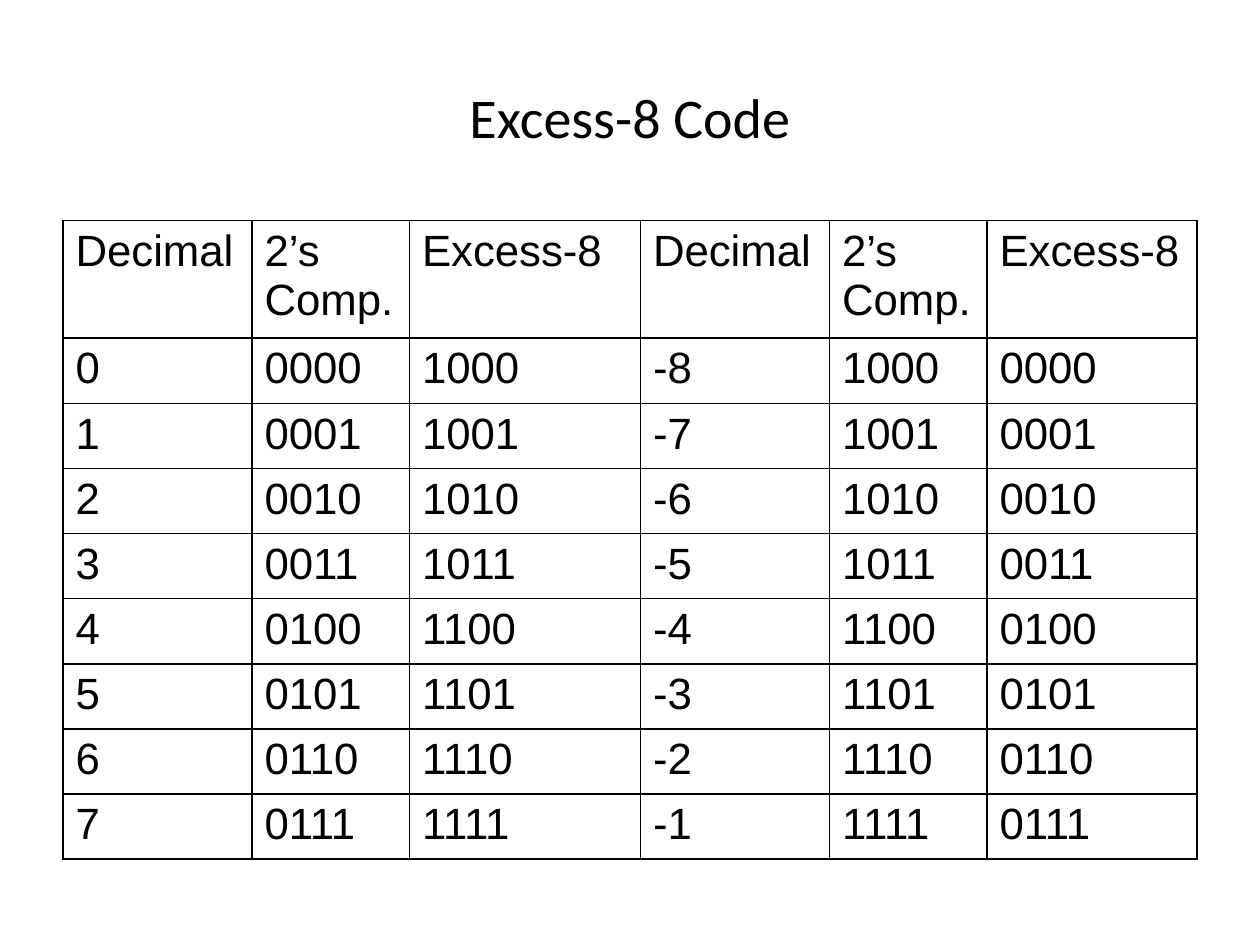
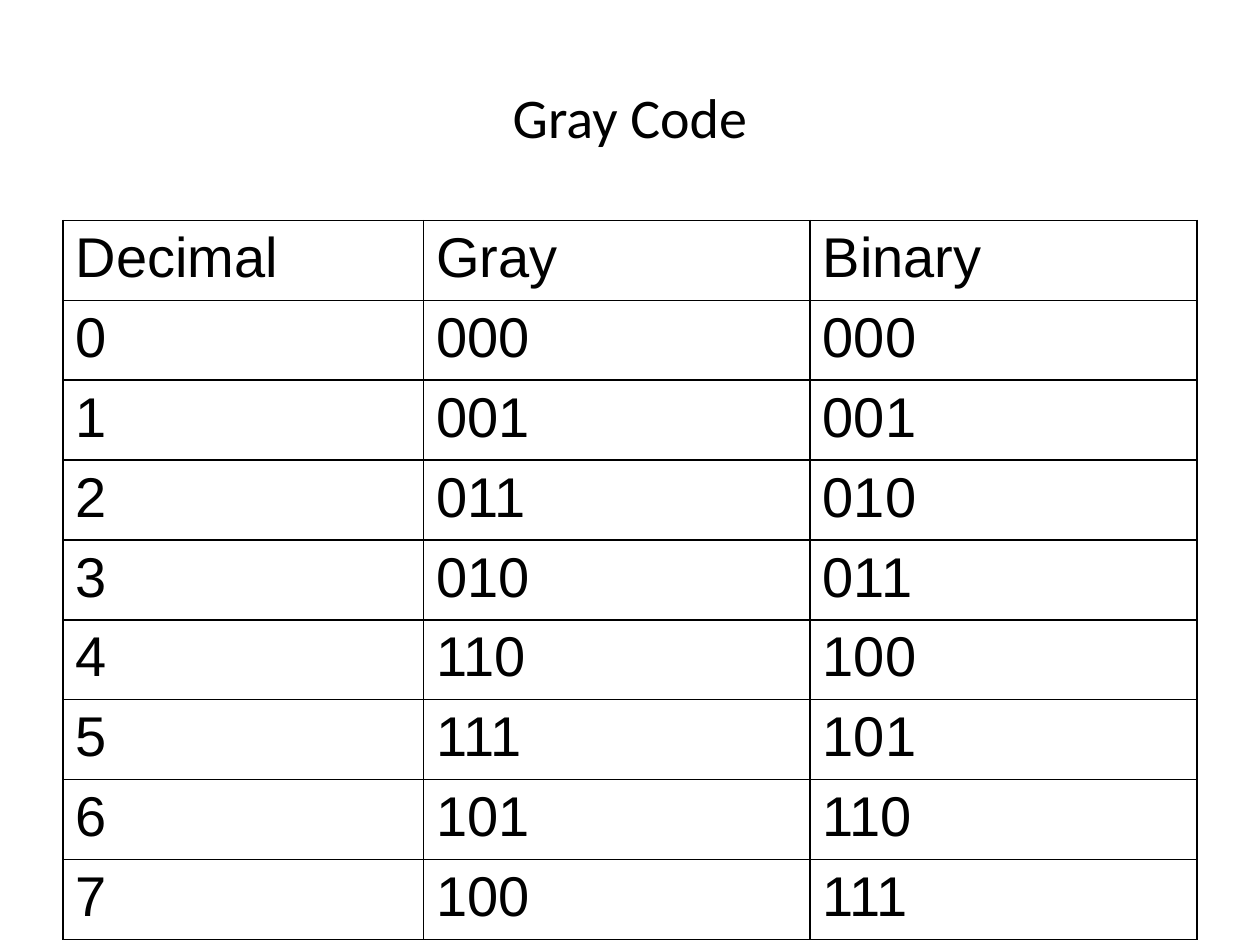
from lxml import etree
from pptx import Presentation
from pptx import util as u
from pptx.dml import color
from pptx.enum import text
from pptx.oxml import ns

COLORS = {"ink": "000000", "paper": "FFFFFF"}
LEFT, WIDTH = 36, 648
TITLE_TOP, TITLE_HEIGHT = 21.6, 90
TABLE_TOP = 126
HANG = 27


class Deck:
    title_font = {"name": "Calibri", "size": u.Pt(32), "bold": False}
    cell_font = {"name": "Arial", "bold": False}
    title_frame = {"word_wrap": True, "vertical_anchor": text.MSO_ANCHOR.MIDDLE}

    def __init__(self):
        self.deck = Presentation()
        self.deck.slide_width = u.Pt(720)
        self.deck.slide_height = u.Pt(540)
        self.page = None

    def apply(self, target, values):
        for name, value in values.items():
            setattr(target, name, value)

    def fill_text(self, frame, words, font, align):
        frame.text = words
        for para in frame.paragraphs:
            para.alignment = align
            for span in para.runs:
                self.apply(span.font, font)
                span.font.color.rgb = color.RGBColor.from_string(COLORS["ink"])

    def add_page(self, title):
        self.page = self.deck.slides.add_slide(self.deck.slide_layouts[6])
        fill = self.page.background.fill
        fill.solid()
        fill.fore_color.rgb = color.RGBColor.from_string(COLORS["paper"])
        box = self.page.shapes.add_textbox(
            u.Pt(LEFT), u.Pt(TITLE_TOP), u.Pt(WIDTH), u.Pt(TITLE_HEIGHT))
        self.apply(box.text_frame, self.title_frame)
        self.fill_text(box.text_frame, title, self.title_font, text.PP_ALIGN.CENTER)

    def add_borders(self, cell):
        properties = cell._tc.get_or_add_tcPr()
        for position, side in enumerate(("lnL", "lnR", "lnT", "lnB")):
            line = etree.Element(ns.qn(f"a:{side}"), w=str(u.Pt(1)))
            fill = etree.SubElement(line, ns.qn("a:solidFill"))
            etree.SubElement(fill, ns.qn("a:srgbClr"), val=COLORS["ink"])
            properties.insert(position, line)

    def add_table(self, rows, widths, heights, size, align, hang=0):
        table = self.page.shapes.add_table(
            len(rows), len(widths), u.Pt(LEFT), u.Pt(TABLE_TOP),
            u.Pt(sum(widths)), u.Pt(sum(heights))).table
        self.apply(table, {"first_row": False, "horz_banding": False})
        for column, width in zip(table.columns, widths):
            column.width = u.Pt(width)
        font = {**self.cell_font, "size": u.Pt(size)}
        for r, (row, height) in enumerate(zip(rows, heights)):
            table.rows[r].height = u.Pt(height)
            for c, words in enumerate(row):
                cell = table.cell(r, c)
                cell.fill.background()
                self.add_borders(cell)
                self.fill_text(cell.text_frame, words, font, align(r, c))
                if hang:
                    for para in cell.text_frame.paragraphs:
                        properties = para._p.get_or_add_pPr()
                        properties.set("marL", str(u.Pt(hang)))
                        properties.set("indent", str(-u.Pt(hang)))


def excess_row(n):
    low, high = f"{n:04b}", f"{n + 8:04b}"
    return [str(n), low, high, str(n - 8), high, low]


def gray_row(n):
    return [str(n), f"{n ^ n >> 1:03b}", f"{n:03b}"]


def excess_align(row, column):
    last_values = row > 0 and column == 5
    return text.PP_ALIGN.LEFT if last_values else text.PP_ALIGN.JUSTIFY


def gray_align(row, column):
    return text.PP_ALIGN.LEFT


def main():
    codes = Deck()

    codes.add_page("Excess-8 Code")
    header = ["Decimal", "2’s\nComp.", "Excess-8", "Decimal", "2’s Comp.", "Excess-8"]
    codes.add_table([header] + [excess_row(n) for n in range(8)],
                    [108, 90, 132, 108, 90, 120], [67.1] + [37.2] * 8,
                    25, excess_align)

    codes.add_page("Gray Code")
    header = ["Decimal", "Gray", "Binary"]
    codes.add_table([header] + [gray_row(n) for n in range(8)],
                    [206, 221, 221], [45.6] * 9, 32, gray_align, HANG)

    codes.deck.save("out.pptx")


if __name__ == "__main__":
    main()
